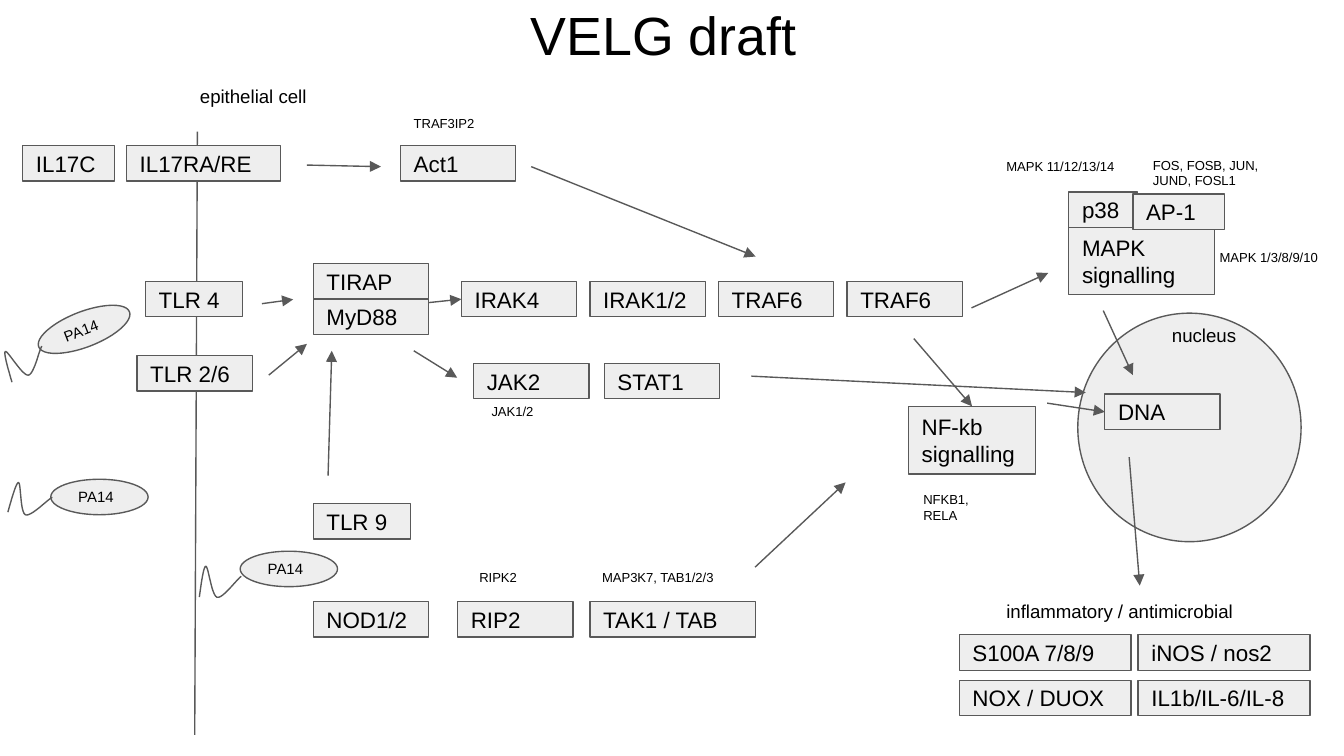
from dataclasses import dataclass

from lxml.etree import SubElement
from pptx import Presentation
from pptx.dml.color import RGBColor
from pptx.enum.shapes import MSO_CONNECTOR, MSO_SHAPE
from pptx.enum.text import MSO_ANCHOR, PP_ALIGN
from pptx.oxml.ns import qn
from pptx.util import Cm, Pt


@dataclass(frozen=True)
class Theme:
    """Colours, font and type sizes."""
    ink: RGBColor = RGBColor(0, 0, 0)
    outline: RGBColor = RGBColor(0x59, 0x59, 0x59)
    fill: RGBColor = RGBColor(0xEE, 0xEE, 0xEE)
    font: str = "Arial"
    title: float = 28.8
    protein: float = 12
    heading: float = 10
    pathogen: float = 8
    gene: float = 7
    stroke: float = 0.75


@dataclass(frozen=True)
class Box:
    """A rectangle in centimetres."""
    left: float
    top: float
    width: float = 2.18
    height: float = 0.67

    def inner(self, dx, dy, width=2.18, height=0.67):
        """Return a box offset from this one's corner."""
        return Box(self.left + dx, self.top + dy, width, height)

    def emu(self):
        """Return left, top, width and height as lengths."""
        return Cm(self.left), Cm(self.top), Cm(self.width), Cm(self.height)


THEME = Theme()


def write_text(shape, text, *, size, align=PP_ALIGN.LEFT, anchor=MSO_ANCHOR.TOP, inset_x=0.25, inset_y=0.25):
    """Fill a shape with one formatted paragraph."""
    frame = shape.text_frame
    frame.word_wrap = True
    frame.vertical_anchor = anchor
    frame.margin_left = frame.margin_right = Cm(inset_x)
    frame.margin_top = frame.margin_bottom = Cm(inset_y)
    paragraph = frame.paragraphs[0]
    paragraph.alignment = align
    run = paragraph.add_run()
    run.text = text
    run.font.size = Pt(size)
    run.font.name = THEME.font
    run.font.color.rgb = THEME.ink


def outline(shape):
    """Give a shape or connector the common stroke."""
    shape.line.color.rgb = THEME.outline
    shape.line.width = Pt(THEME.stroke)


def add_node(slide, box, text="", kind=MSO_SHAPE.RECTANGLE, size=THEME.protein):
    """Draw a filled shape with its name."""
    node = slide.shapes.add_shape(kind, *box.emu())
    node.shadow.inherit = False
    node.fill.solid()
    node.fill.fore_color.rgb = THEME.fill
    outline(node)
    if text:
        write_text(node, text, size=size, anchor=MSO_ANCHOR.MIDDLE)
    return node


def add_label(slide, box, text, size=THEME.gene):
    """Place a free-standing caption."""
    write_text(slide.shapes.add_textbox(*box.emu()), text, size=size)


def add_line(slide, start, end, arrow=True, target=None, site=0):
    """Draw a straight line, optionally with a head and a joined end."""
    points = [Cm(value) for value in (*start, *end)]
    line = slide.shapes.add_connector(MSO_CONNECTOR.STRAIGHT, *points)
    outline(line)
    properties = line._element.spPr
    if arrow:
        SubElement(properties.find(qn("a:ln")), qn("a:tailEnd"), type="triangle")
    SubElement(properties, qn("a:effectLst"))
    if target is not None:
        line.end_connect(target, site)


def add_bacterium(slide, box, tail, tilt=0, tail_tilt=0):
    """Draw a bacterium with a curved flagellum at an offset from its body."""
    body = add_node(slide, box, "PA14", MSO_SHAPE.OVAL, THEME.pathogen)
    body.rotation = tilt
    curves = [
        ((0.84, 0.28), (0.74, 0.33), (0.43, 0.66), (0.33, 0.61)),
        ((0.33, 0.61), (0.23, 0.56), (0.25, 0), (0.2, 0)),
        ((0.2, 0), (0.15, 0), (0.03, 0.46), (0, 0.56)),
    ]
    origin = (box.left + tail[0], box.top + tail[1])
    steps = 12
    points = []
    for curve in curves:
        for step in range(steps + 1):
            t = step / steps
            weights = ((1 - t) ** 3, 3 * t * (1 - t) ** 2, 3 * t * t * (1 - t), t ** 3)
            points.append(tuple(
                Cm(origin[axis] + sum(w * p[axis] for w, p in zip(weights, curve)))
                for axis in (0, 1)))
    builder = slide.shapes.build_freeform(*points[0])
    builder.add_line_segments(points[1:], close=False)
    flagellum = builder.convert_to_shape()
    flagellum.shadow.inherit = False
    flagellum.fill.background()
    outline(flagellum)
    flagellum.rotation = tail_tilt


def add_title(slide, box):
    """Move and format the title placeholder."""
    title = slide.shapes.title
    title.left, title.top, title.width, title.height = box.emu()
    write_text(title, "VELG draft", size=THEME.title, align=PP_ALIGN.CENTER,
               anchor=MSO_ANCHOR.BOTTOM, inset_x=0)


def add_epithelium(slide, box):
    """Draw the membrane, its receptors and the bacteria."""
    add_line(slide, (box.left + 3.3, box.top + 1.09), (box.left + 3.25, box.top + 12.49), arrow=False)
    add_label(slide, box.inner(3.1, 0, 2.74, 0.84), "epithelial cell", THEME.heading)
    for name, dx, dy, width in [
        ("IL17C", 0, 1.35, 1.74), ("IL17RA/RE", 1.96, 1.35, 2.91),
        ("TLR 4", 2.32, 3.92, 1.84), ("TLR 2/6", 2.16, 5.32, 2.18),
        ("TLR 9", 5.49, 8.12, 1.84),
    ]:
        add_node(slide, box.inner(dx, dy, width), name)
    add_bacterium(slide, box.inner(0.24, 4.49, 1.84), (-0.64, 0.59), 338.9, 328.1)
    add_bacterium(slide, box.inner(0.53, 7.66, 1.84), (-0.81, 0.06))
    add_bacterium(slide, box.inner(4.11, 9.02, 1.84), (-0.81, 0.25), 0, 352.1)


def add_cascade(slide, box):
    """Draw the adaptors and kinases and return the first IRAK."""
    for name, dx, dy in [("Act1", 1.65, 0.72), ("TIRAP", 0, 2.95), ("MyD88", 0, 3.62),
                         ("JAK2", 3.03, 4.84), ("STAT1", 5.5, 4.84)]:
        add_node(slide, box.inner(dx, dy), name)
    chain = [add_node(slide, box.inner(2.8 + 2.43 * column, 3.29), name)
             for column, name in enumerate(["IRAK4", "IRAK1/2", "TRAF6", "TRAF6"])]
    add_label(slide, box.inner(1.65, 0, 1.96, 0.71), "TRAF3IP2")
    add_label(slide, box.inner(3.12, 5.44, 1.96, 0.71), "JAK1/2")
    return chain[0]


def add_nod_pathway(slide, box):
    """Draw the row from NOD1/2 to TAK1."""
    for name, dx, width in [("NOD1/2", 0, 2.18), ("RIP2", 2.73, 2.18), ("TAK1 / TAB", 5.23, 3.13)]:
        add_node(slide, box.inner(dx, 0.75, width), name)
    add_label(slide, box.inner(2.89, 0, 1.96, 0.71), "RIPK2")
    add_label(slide, box.inner(5.21, 0, 2.87, 0.71), "MAP3K7, TAB1/2/3")


def add_mapk(slide, box):
    """Draw the MAPK block with its gene captions."""
    for name, dx, dy, width, height in [("MAPK signalling", 1.43, 1.58, 2.75, 1.27),
                                        ("p38", 1.43, 0.91, 1.3, 0.67),
                                        ("AP-1", 2.64, 0.95, 1.73, 0.67)]:
        add_node(slide, box.inner(dx, dy, width, height), name)
    for genes, dx, dy, width in [("MAPK 11/12/13/14", 0, 0.13, 2.87),
                                 ("FOS, FOSB, JUN, JUND, FOSL1", 2.77, 0, 2.87),
                                 ("MAPK 1/3/8/9/10", 4.03, 1.85, 2.6)]:
        add_label(slide, box.inner(dx, dy, width, 0.71), genes)


def add_nfkb(slide, box):
    """Draw the NF-kb block and return its node."""
    add_label(slide, box.inner(0.03, 1.36, 1.96, 0.71), "NFKB1, RELA")
    return add_node(slide, box, "NF-kb signalling")


def add_nucleus(slide, box):
    """Draw the nucleus and return its DNA node."""
    add_node(slide, box, kind=MSO_SHAPE.OVAL)
    add_label(slide, box.inner(1.53, -0.02, 1.84, 0.84), "nucleus", THEME.heading)
    return add_node(slide, box.inner(0.51, 1.53), "DNA")


def add_products(slide, box):
    """Draw the grid of inflammatory and antimicrobial products."""
    add_label(slide, box.inner(0.64, 0, 5.6, 0.84), "inflammatory / antimicrobial", THEME.heading)
    for row, names in enumerate([("S100A 7/8/9", "iNOS / nos2"), ("NOX / DUOX", "IL1b/IL-6/IL-8")]):
        for column, name in enumerate(names):
            add_node(slide, box.inner(3.38 * column, 0.87 + 0.86 * row, 3.25), name)


def add_signals(slide, irak, nfkb, dna):
    """Draw the arrows that run between the regions."""
    for start, end in [
        ((5.8, 3.12), (7.2, 3.15)), ((10.04, 3.15), (14.28, 4.85)),
        ((4.95, 5.74), (5.54, 5.66)), ((5.08, 7.09), (5.8, 6.5)),
        ((6.2, 8.99), (6.27, 6.63)), ((7.82, 6.63), (8.64, 7.14)),
        ((14.2, 7.11), (20.52, 7.42)), ((18.36, 5.82), (19.81, 5.16)),
        ((14.27, 10.72), (15.98, 9.12)), ((20.85, 5.87), (21.41, 7.09)),
        ((21.34, 8.64), (21.54, 11.07)),
    ]:
        add_line(slide, start, end)
    for start, end, target, site in [((8.1, 5.72), (8.72, 5.65), irak, 1),
                                     ((17.27, 6.4), (18.37, 7.68), nfkb, 0),
                                     ((19.79, 7.62), (20.88, 7.79), dna, 1)]:
        add_line(slide, start, end, target=target, site=site)


def main():
    """Build the pathway slide and save it."""
    deck = Presentation()
    deck.slide_width, deck.slide_height = Cm(25.4), Cm(14.29)
    slide = deck.slides.add_slide(deck.slide_layouts[5])
    add_title(slide, Box(0.71, 0, 23.67, 1.5))
    add_epithelium(slide, Box(0.43, 1.4, 7.4, 12.5))
    irak = add_cascade(slide, Box(5.92, 2.03, 12.3, 6.2))
    add_nod_pathway(slide, Box(5.92, 10.62, 8.4, 1.5))
    add_mapk(slide, Box(18.77, 2.72, 6.6, 2.9))
    dna = add_nucleus(slide, Box(20.37, 5.92, 4.22, 4.32))
    nfkb = add_nfkb(slide, Box(17.17, 7.68, 2.4, 1.28))
    add_products(slide, Box(18.13, 11.13, 6.63, 2.5))
    add_signals(slide, irak, nfkb, dna)
    deck.save("out.pptx")


if __name__ == "__main__":
    main()
